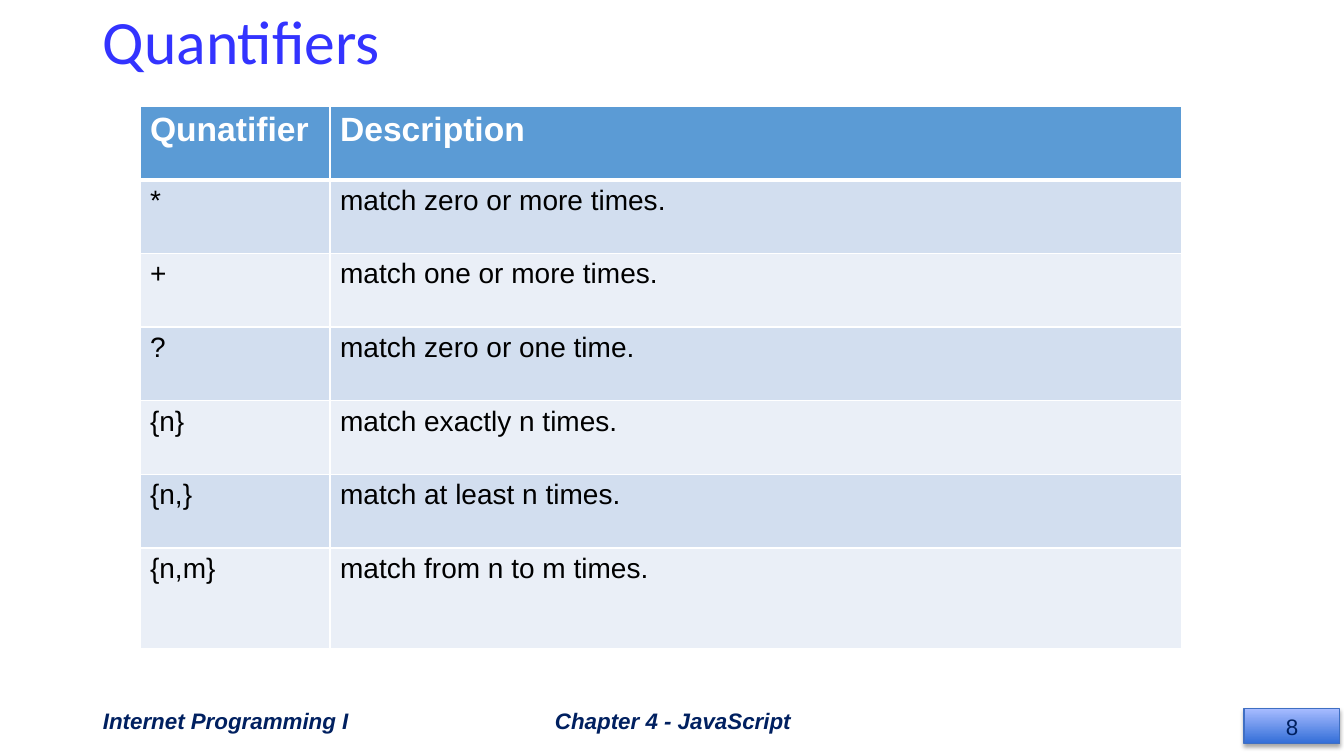
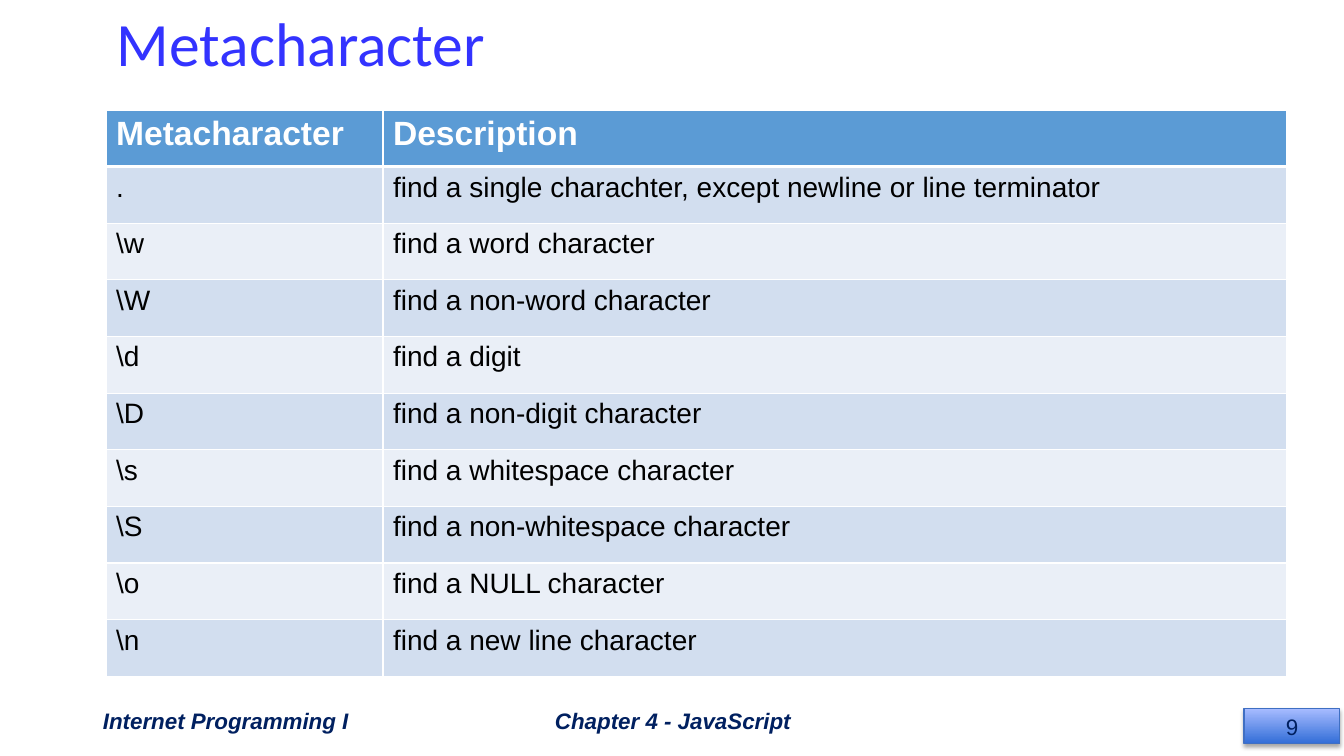
from dataclasses import dataclass

from lxml.etree import SubElement
from pptx import Presentation
from pptx.dml.color import RGBColor
from pptx.enum.shapes import MSO_SHAPE
from pptx.enum.text import MSO_ANCHOR, PP_ALIGN
from pptx.oxml.ns import qn
from pptx.slide import Slide
from pptx.table import _Cell
from pptx.text.text import TextFrame
from pptx.util import Emu, Pt

PIXEL = 914400 / 100.8

WHITE = RGBColor(0xFF, 0xFF, 0xFF)
BLACK = RGBColor(0x00, 0x00, 0x00)
TITLE_BLUE = RGBColor(0x33, 0x33, 0xFF)
NAVY = RGBColor(0x00, 0x20, 0x60)
HEADER_BLUE = RGBColor(0x5B, 0x9B, 0xD5)
BAND_DARK = RGBColor(0xD2, 0xDE, 0xEF)
BAND_LIGHT = RGBColor(0xEA, 0xEF, 0xF7)
BADGE_BOTTOM = RGBColor(0x31, 0x6D, 0xD7)
BADGE_TOP = RGBColor(0xA6, 0xBB, 0xFF)
BADGE_LINE = RGBColor(0x3F, 0x6F, 0xC3)


@dataclass(frozen=True)
class Box:
    left: int
    top: int
    width: int
    height: int

    def emu(self) -> tuple[Emu, Emu, Emu, Emu]:
        return px(self.left), px(self.top), px(self.width), px(self.height)


@dataclass(frozen=True)
class TextStyle:
    size: int
    color: RGBColor
    name: str = "Arial"
    bold: bool = False
    italic: bool = False
    alignment: PP_ALIGN = PP_ALIGN.LEFT
    anchor: MSO_ANCHOR = MSO_ANCHOR.MIDDLE
    line_spacing: float = 1.0


@dataclass(frozen=True)
class Footer:
    text: str
    box: Box
    style: TextStyle


@dataclass(frozen=True)
class TablePage:
    number: int
    title: str
    title_box: Box
    table_box: Box
    first_column: int
    last_row: int
    rows: tuple[tuple[str, str], ...]


TITLE_STYLE = TextStyle(44, TITLE_BLUE, "Calibri", anchor=MSO_ANCHOR.BOTTOM, line_spacing=0.9)
HEADER_STYLE = TextStyle(24, WHITE, bold=True, anchor=MSO_ANCHOR.TOP)
BODY_STYLE = TextStyle(20, BLACK, anchor=MSO_ANCHOR.TOP)
NUMBER_STYLE = TextStyle(16, NAVY, alignment=PP_ALIGN.CENTER)
COURSE_STYLE = TextStyle(16, NAVY, bold=True, italic=True)
CHAPTER_STYLE = TextStyle(16, NAVY, bold=True, italic=True, alignment=PP_ALIGN.CENTER)

BADGE_BOX = Box(1244, 709, 96, 35)
FOOTERS = (
    Footer("Internet Programming I", Box(93, 701, 302, 40), COURSE_STYLE),
    Footer("Chapter 4 - JavaScript", Box(446, 701, 454, 40), CHAPTER_STYLE),
)

PAGES = (
    TablePage(
        8, "Quantifiers", Box(93, 0, 1146, 83), Box(140, 106, 1042, 543), 190, 101,
        (
            ("Qunatifier", "Description"),
            ("*", "match zero or more times."),
            ("+", "match one or more times."),
            ("?", "match zero or one time."),
            ("{n}", "match exactly n times."),
            ("{n,}", "match at least n times."),
            ("{n,m}", "match from n to m times."),
        ),
    ),
    TablePage(
        9, "Metacharacter", Box(107, 27, 419, 58), Box(106, 110, 1181, 567), 277, 57,
        (
            ("Metacharacter", "Description"),
            (".", "find a single charachter, except newline or line terminator"),
            (r"\w", "find a word character"),
            (r"\W", "find a non-word character"),
            (r"\d", "find a digit"),
            (r"\D", "find a non-digit character"),
            (r"\s", "find a whitespace character"),
            (r"\S", "find a non-whitespace character"),
            (r"\o", "find a NULL character"),
            (r"\n", "find a new line character"),
        ),
    ),
)


def px(length: float) -> Emu:
    return Emu(round(length * PIXEL))


def write_text(frame: TextFrame, text: str, style: TextStyle) -> None:
    frame.word_wrap = True
    frame.vertical_anchor = style.anchor
    paragraph = frame.paragraphs[0]
    paragraph.alignment = style.alignment
    paragraph.line_spacing = style.line_spacing
    run = paragraph.add_run()
    run.text = text
    font_format = {
        "name": style.name,
        "size": Pt(style.size),
        "bold": style.bold,
        "italic": style.italic,
    }
    for attribute, value in font_format.items():
        setattr(run.font, attribute, value)
    run.font.color.rgb = style.color


def add_text(slide: Slide, text: str, box: Box, style: TextStyle) -> None:
    shape = slide.shapes.add_textbox(*box.emu())
    write_text(shape.text_frame, text, style)


def add_badge(slide: Slide, number: int) -> None:
    badge = slide.shapes.add_shape(MSO_SHAPE.RECTANGLE, *BADGE_BOX.emu())
    badge.fill.gradient()
    badge.fill.gradient_angle = 90
    for stop, position, color in zip(
        badge.fill.gradient_stops, (0, 1), (BADGE_BOTTOM, BADGE_TOP)
    ):
        stop.position = position
        stop.color.rgb = color
    badge.line.color.rgb = BADGE_LINE
    badge.line.width = Pt(0.75)
    badge.shadow.inherit = False
    effects = badge._element.spPr.find(qn("a:effectLst"))
    shadow = SubElement(
        effects, qn("a:outerShdw"),
        blurRad=str(Pt(3.1)), dist=str(Pt(1.8)), dir="5400000", rotWithShape="0",
    )
    color = SubElement(shadow, qn("a:srgbClr"), val=str(BLACK))
    SubElement(color, qn("a:alpha"), val="35000")
    write_text(badge.text_frame, str(number), NUMBER_STYLE)


def set_borders(cell: _Cell, top: int, bottom: int) -> None:
    properties = cell._tc.get_or_add_tcPr()
    for side, width in {"L": 1, "R": 1, "T": top, "B": bottom}.items():
        line = SubElement(properties, qn(f"a:ln{side}"), w=str(Pt(width)))
        fill = SubElement(line, qn("a:solidFill"))
        SubElement(fill, qn("a:srgbClr"), val=str(WHITE))


def add_table(slide: Slide, page: TablePage) -> None:
    box = page.table_box
    row_count = len(page.rows)
    table = slide.shapes.add_table(row_count, 2, *box.emu()).table
    table.columns[0].width = px(page.first_column)
    table.columns[1].width = px(box.width - page.first_column)
    for row in table.rows:
        row.height = px((box.height - page.last_row) / (row_count - 1))
    table.rows[row_count - 1].height = px(page.last_row)

    for row_index, texts in enumerate(page.rows):
        is_header = row_index == 0
        band = BAND_DARK if row_index % 2 else BAND_LIGHT
        for column_index, text in enumerate(texts):
            cell = table.cell(row_index, column_index)
            set_borders(cell, 3 if row_index == 1 else 1, 3 if is_header else 1)
            cell.fill.solid()
            cell.fill.fore_color.rgb = HEADER_BLUE if is_header else band
            write_text(cell.text_frame, text, HEADER_STYLE if is_header else BODY_STYLE)


def build_page(presentation: Presentation, page: TablePage) -> None:
    slide = presentation.slides.add_slide(presentation.slide_layouts[6])
    add_badge(slide, page.number)
    add_text(slide, page.title, page.title_box, TITLE_STYLE)
    for footer in FOOTERS:
        add_text(slide, footer.text, footer.box, footer.style)
    add_table(slide, page)


presentation = Presentation()
presentation.slide_width = px(1344)
presentation.slide_height = px(756)
for page in PAGES:
    build_page(presentation, page)
presentation.save("out.pptx")
